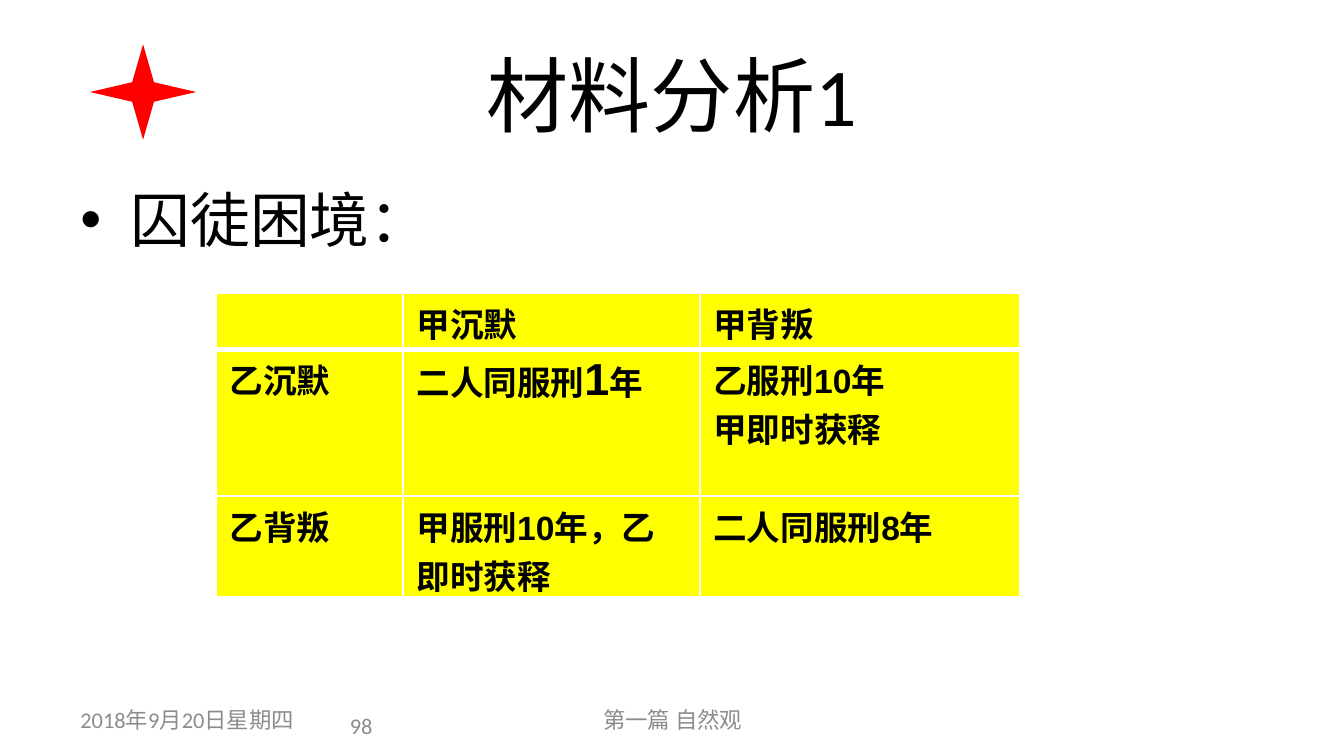
from dataclasses import dataclass

from lxml import etree
from pptx import Presentation
from pptx.dml.color import RGBColor
from pptx.enum.shapes import MSO_SHAPE
from pptx.enum.text import MSO_ANCHOR, PP_ALIGN
from pptx.oxml.ns import qn
from pptx.util import Cm, Pt

STAR = MSO_SHAPE.STAR_4_POINT
TOP, MIDDLE = MSO_ANCHOR.TOP, MSO_ANCHOR.MIDDLE
LEFT, CENTER, RIGHT = PP_ALIGN.LEFT, PP_ALIGN.CENTER, PP_ALIGN.RIGHT
BLACK, GRAY, RED, YELLOW, WHITE = "000000", "8C8C8C", "FF0000", "FFFF00", "FFFFFF"
CELL_SIZE = 18


@dataclass(frozen=True)
class Label:
    text: str
    left: float
    top: float
    width: float
    height: float
    size: float = 12
    font: str = "Calibri"
    color: str = GRAY
    align: PP_ALIGN = LEFT
    anchor: MSO_ANCHOR = MIDDLE
    bullet: str = ""


@dataclass(frozen=True)
class Span:
    text: str
    size: float = CELL_SIZE


LABELS = [
    Label("材料分析1", 1.27, 0.58, 22.86, 2.39, 44, color=BLACK, align=CENTER),
    Label("囚徒困境：", 1.27, 3.33, 22.86, 9.42, 32, "Arial", BLACK, anchor=TOP, bullet="•"),
    Label("第一篇 自然观", 8.69, 13.23, 8.05, 0.76, align=CENTER),
    Label("98", 4.5, 13.34, 2.79, 0.76, align=RIGHT),
    Label("2018年9月20日星期四", 1.27, 13.23, 5.92, 0.76),
]

COLUMN_WIDTHS = [3.53, 5.61, 6.05]
ROW_HEIGHTS = [1.07, 2.77, 1.9]
OUTCOMES = [
    [[], [[Span("甲沉默")]], [[Span("甲背叛")]]],
    [
        [[Span("乙沉默")]],
        [[Span("二人同服刑"), Span("1", 24), Span("年")]],
        [[Span("乙服刑10年")], [Span("甲即时获释")]],
    ],
    [[[Span("乙背叛")]], [[Span("甲服刑10年，乙即时获释")]], [[Span("二人同服刑8年")]]],
]


def rgb(value: str) -> RGBColor:
    return RGBColor.from_string(value)


def style_font(font, name: str, size: float, color: str, bold: bool = False) -> None:
    font.name = name
    font.size = Pt(size)
    font.color.rgb = rgb(color)
    font.bold = bold


def add_bullet(para, char: str) -> None:
    properties = para._p.get_or_add_pPr()
    properties.set("marL", str(Cm(0.95)))
    properties.set("indent", str(-Cm(0.95)))
    etree.SubElement(properties, qn("a:buFont")).set("typeface", "Arial")
    etree.SubElement(properties, qn("a:buChar")).set("char", char)


def add_label(page, label: Label) -> None:
    box = page.shapes.add_textbox(
        Cm(label.left), Cm(label.top), Cm(label.width), Cm(label.height)
    )
    frame = box.text_frame
    frame.word_wrap = True
    frame.vertical_anchor = label.anchor
    frame.text = label.text
    para = frame.paragraphs[0]
    para.alignment = label.align
    if label.bullet:
        add_bullet(para, label.bullet)
    for span in para.runs:
        style_font(span.font, label.font, label.size, label.color)


def add_star(page) -> None:
    star = page.shapes.add_shape(STAR, Cm(1.7), Cm(0.84), Cm(2.01), Cm(1.8))
    star.adjustments[0] = 0.145
    star.shadow.inherit = False
    star.fill.solid()
    star.fill.fore_color.rgb = rgb(RED)
    star.line.fill.background()


def add_borders(cell, bottom_width: float) -> None:
    properties = cell._tc.get_or_add_tcPr()
    widths = {"a:lnL": 1, "a:lnR": 1, "a:lnT": 1, "a:lnB": bottom_width}
    for index, (side, width) in enumerate(widths.items()):
        line = etree.Element(qn(side), w=str(Pt(width)))
        fill = etree.SubElement(line, qn("a:solidFill"))
        etree.SubElement(fill, qn("a:srgbClr")).set("val", WHITE)
        properties.insert(index, line)


def fill_cell(cell, paragraphs: list[list[Span]], bottom_width: float) -> None:
    cell.fill.solid()
    cell.fill.fore_color.rgb = rgb(YELLOW)
    cell.margin_left = cell.margin_right = Cm(0.25)
    cell.margin_top = cell.margin_bottom = Cm(0.1)
    add_borders(cell, bottom_width)
    frame = cell.text_frame
    for index, spans in enumerate(paragraphs):
        para = frame.add_paragraph() if index else frame.paragraphs[0]
        for span in spans:
            run = para.add_run()
            run.text = span.text
            style_font(run.font, "Arial", span.size, BLACK, bold=True)


def add_outcome_table(page) -> None:
    table = page.shapes.add_table(
        len(ROW_HEIGHTS), len(COLUMN_WIDTHS), Cm(4.09), Cm(5.54),
        Cm(sum(COLUMN_WIDTHS)), Cm(sum(ROW_HEIGHTS)),
    ).table
    for column, width in zip(table.columns, COLUMN_WIDTHS):
        column.width = Cm(width)
    for row_index, (row, height) in enumerate(zip(table.rows, ROW_HEIGHTS)):
        row.height = Cm(height)
        for cell, paragraphs in zip(row.cells, OUTCOMES[row_index]):
            fill_cell(cell, paragraphs, 1 if row_index else 3)


def main() -> None:
    deck = Presentation()
    deck.slide_width, deck.slide_height = Cm(25.4), Cm(14.29)
    page = deck.slides.add_slide(deck.slide_layouts[6])
    add_star(page)
    for label in LABELS[:2]:
        add_label(page, label)
    add_outcome_table(page)
    for label in LABELS[2:]:
        add_label(page, label)
    deck.save("out.pptx")


if __name__ == "__main__":
    main()
